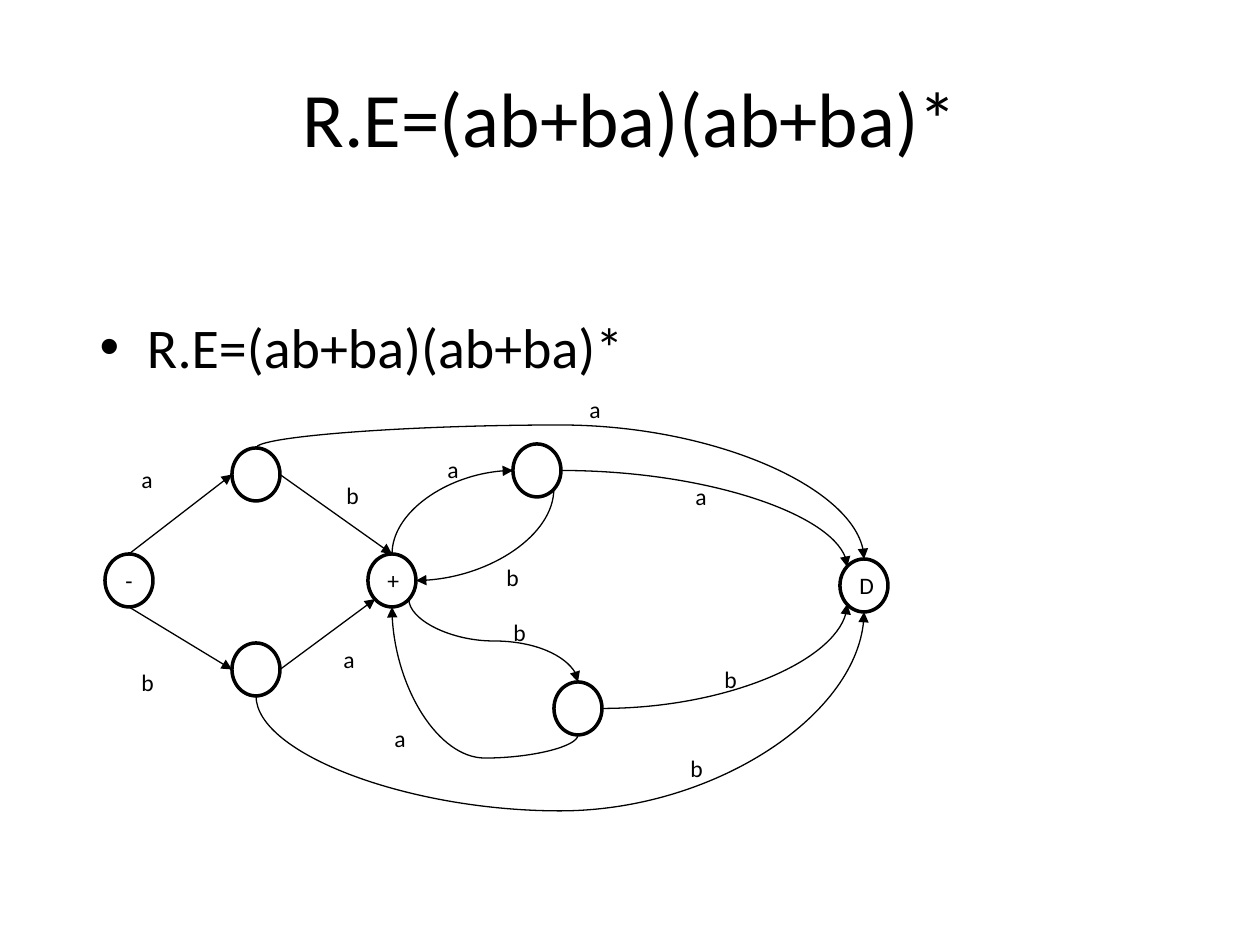
from pptx import Presentation
from pptx import util as u
from pptx.dml.color import RGBColor
from pptx.enum import shapes, text
from pptx.oxml import parse_xml
from pptx.oxml.ns import nsdecls, qn

BLACK = RGBColor(0, 0, 0)
WHITE = RGBColor(255, 255, 255)
FONT = "Calibri"
EXPRESSION = "R.E=(ab+ba)(ab+ba)*"
SCALE = 914400 / 126
STATE_SIZE = (48, 53)
LABEL_SIZE = (43, 42)

STATES = {
    "start": (105, 554, "-"),
    "first_a": (232, 448, ""),
    "first_b": (232, 643, ""),
    "final": (368, 554, "+"),
    "again_a": (513, 444, ""),
    "again_b": (554, 682, ""),
    "dead": (840, 559, "D"),
}
SITES = {
    "top": (0.5, 0), "bottom": (0.5, 1), "left": (0, 0.5), "right": (1, 0.5),
    "top_left": (0.15, 0.15), "bottom_left": (0.15, 0.85), "bottom_right": (0.85, 0.85),
}
STRAIGHT = [
    ("start", "top", "first_a", "left"),
    ("start", "bottom", "first_b", "left"),
    ("first_a", "right", "final", "top"),
    ("first_b", "right", "final", "bottom_left"),
]
QUARTER_CURVES = [
    ("final", "top", "again_a", "left"),
    ("again_a", "bottom_right", "final", "right"),
    ("again_b", "right", "dead", "bottom_left"),
    ("again_a", "right", "dead", "top_left"),
]
BENT_CURVES = [
    ("final", "bottom_right", "again_b", "top", 641),
    ("again_b", "bottom", "final", "bottom", 758),
    ("first_b", "bottom", "dead", "bottom", 811),
    ("first_a", "top", "dead", "top", 425),
]
LABELS = [
    ("a", 129, 459), ("b", 129, 662), ("b", 334, 475), ("a", 331, 639),
    ("a", 435, 449), ("b", 494, 557), ("a", 382, 718), ("b", 501, 612),
    ("b", 678, 748), ("b", 712, 659), ("a", 577, 389), ("a", 683, 476),
]


def px(value):
    """Turn pixels into EMU."""
    return u.Emu(round(value * SCALE))


def write(shape, words, size):
    """Set one paragraph of text and format its runs."""
    paragraph = shape.text_frame.paragraphs[0]
    paragraph.text = words
    for run in paragraph.runs:
        run.font.name = FONT
        run.font.size = u.Pt(size)
        run.font.color.rgb = BLACK
    return paragraph


def fill_placeholder(shape, box, size):
    """Move a placeholder and write the expression in it."""
    shape.left, shape.top, shape.width, shape.height = map(px, box)
    write(shape, EXPRESSION, size)


def add_state(slide, left, top, words):
    """Draw one automaton state."""
    shape = slide.shapes.add_shape(
        shapes.MSO_SHAPE.OVAL, *map(px, (left, top, *STATE_SIZE)))
    shape.shadow.inherit = False
    shape.fill.solid()
    shape.fill.fore_color.rgb = WHITE
    shape.line.color.rgb = BLACK
    shape.line.width = u.Pt(2)
    if words:
        shape.text_frame.vertical_anchor = text.MSO_ANCHOR.MIDDLE
        write(shape, words, 13.5).alignment = text.PP_ALIGN.CENTER


def add_label(slide, words, left, top):
    """Write the letter of one transition."""
    shape = slide.shapes.add_textbox(*map(px, (left, top, *LABEL_SIZE)))
    shape.text_frame.word_wrap = True
    shape.text_frame.auto_size = text.MSO_AUTO_SIZE.SHAPE_TO_FIT_TEXT
    write(shape, words, 13.5)


def site_point(state, site):
    """Return the pixel position of a site on a state."""
    origin = STATES[state][:2]
    return [o + f * s for o, f, s in zip(origin, SITES[site], STATE_SIZE)]


def add_arrow(slide, kind, begin, end):
    """Draw a thin connector with an arrowhead at its end."""
    connector = slide.shapes.add_connector(kind, *map(px, (*begin, *end)))
    connector.line.color.rgb = BLACK
    connector.line.width = u.Pt(0.75)
    connector.line._get_or_add_ln().append(
        parse_xml(f'<a:tailEnd {nsdecls("a")} type="triangle"/>'))
    connector._element.spPr.append(parse_xml(f'<a:effectLst {nsdecls("a")}/>'))
    return connector


def turn_upright(connector, begin, end):
    """Turn a connector so that it leaves its start vertically."""
    (x1, y1), (x2, y2) = begin, end
    width, height = abs(y2 - y1), abs(x2 - x1)
    connector.left, connector.top = px((x1 + x2 - width) / 2), px((y1 + y2 - height) / 2)
    connector.width, connector.height = px(width), px(height)
    frame = connector._element.spPr.find(qn("a:xfrm"))
    frame.set("rot", "5400000")
    frame.set("flipH", str(int(y2 < y1)))
    frame.set("flipV", str(int(x2 > x1)))


def add_curve(slide, source, source_site, target, target_site, bend=None):
    """Draw a curved transition, through a bend level if one is given."""
    begin, end = site_point(source, source_site), site_point(target, target_site)
    connector = add_arrow(slide, shapes.MSO_CONNECTOR.CURVE, begin, end)
    if source_site != "right":
        turn_upright(connector, begin, end)
    geometry = connector._element.spPr.find(qn("a:prstGeom"))
    if bend is None:
        geometry.set("prst", "curvedConnector2")
        return
    adjust = round((bend - begin[1]) / (end[1] - begin[1]) * 100000)
    for guides in geometry.findall(qn("a:avLst")):
        geometry.remove(guides)
    geometry.append(parse_xml(
        f'<a:avLst {nsdecls("a")}><a:gd name="adj1" fmla="val {adjust}"/></a:avLst>'))


def main():
    """Build the automaton slide."""
    presentation = Presentation()
    presentation.slide_width, presentation.slide_height = px(1260), px(945)
    slide = presentation.slides.add_slide(presentation.slide_layouts[1])
    title, body = slide.placeholders
    fill_placeholder(title, (63, 38, 1134, 158), 44)
    fill_placeholder(body, (87, 306, 1086, 501), 32)
    for state in STATES.values():
        add_state(slide, *state)
    for source, source_site, target, target_site in STRAIGHT:
        add_arrow(slide, shapes.MSO_CONNECTOR.STRAIGHT,
                  site_point(source, source_site), site_point(target, target_site))
    for curve in QUARTER_CURVES + BENT_CURVES:
        add_curve(slide, *curve)
    for label in LABELS:
        add_label(slide, *label)
    presentation.save("out.pptx")


main()
